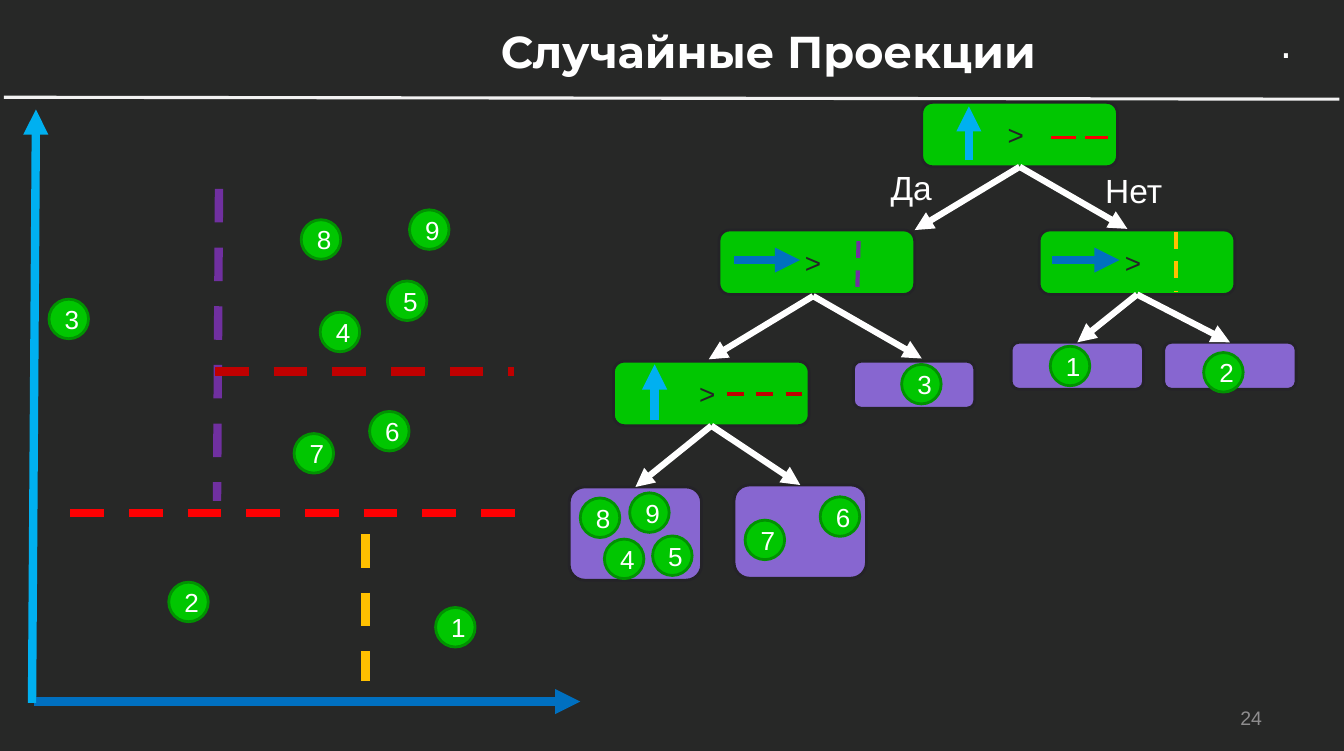
import lxml.etree
import pptx
import pptx.dml.color
import pptx.enum.dml
import pptx.enum.shapes
import pptx.enum.text
import pptx.oxml.ns
import pptx.util

Cm = pptx.util.Cm
Pt = pptx.util.Pt
SHAPE = pptx.enum.shapes.MSO_SHAPE
ALIGN = pptx.enum.text.PP_ALIGN
ANCHOR = pptx.enum.text.MSO_ANCHOR
DASH = pptx.enum.dml.MSO_LINE.DASH
LONG_DASH = pptx.enum.dml.MSO_LINE.LONG_DASH
TOP, BOTTOM = 0, 2

COLOURS = {
    "background": "272827", "white": "FFFFFF", "divider": "F2F2F2",
    "grey": "8E8D8E", "ink": "242327", "green": "01C601",
    "rim": "019201", "leaf": "8766D0", "red": "FD0002",
    "signal": "F70002", "crimson": "C00000", "purple": "7030A0",
    "yellow": "FFC000", "blue": "0070C0", "sky": "00B0F0",
}

POINT_SIZE = 1.0
NODE_SIZE = (4.95, 1.63)

# Numbered points: label, left, top
PLOT_POINTS = [
    ("5", 9.8, 7.11), ("6", 9.35, 10.41), ("9", 10.36, 5.31),
    ("1", 11.02, 15.37), ("8", 7.62, 5.56), ("2", 4.27, 14.73),
    ("3", 1.24, 7.57), ("7", 7.44, 10.97), ("4", 8.1, 7.9),
]
TREE_POINTS = [
    ("1", 26.57, 8.76), ("2", 30.45, 8.92), ("3", 22.81, 9.22),
    ("6", 20.75, 12.57), ("7", 18.85, 13.16), ("5", 16.51, 13.56),
    ("9", 15.93, 12.47), ("8", 14.68, 12.6), ("4", 15.29, 13.64),
]

# Tree boxes: decision nodes by corner, leaves by corner and size
NODES = {
    "root": (23.32, 2.59), "left": (18.19, 5.82),
    "right": (26.29, 5.82), "lower": (15.52, 9.14),
}
LEAVES = {
    "1": (25.58, 8.66, 3.35, 1.19), "2": (29.44, 8.66, 3.35, 1.19),
    "3": (21.59, 9.14, 3.07, 1.19), "67": (18.57, 12.27, 3.35, 2.36),
    "4589": (14.4, 12.32, 3.35, 2.36),
}

# Branches: a box name is joined, a pair is a free end
BRANCHES = [
    ("root", (23.14, 5.82)), ("root", (28.52, 5.79)),
    ((20.57, 7.49), (17.93, 9.09)), ((20.57, 7.49), (23.32, 9.07)),
    ("right", "1"), ("right", "2"),
    ("lower", "67"), ("lower", "4589"),
]

# Dashed lines: start, end, colour, width, dash
PLOT_SPLITS = [
    ((1.78, 12.98), (13.64, 12.98), "red", 6, DASH),
    ((9.25, 13.51), (9.25, 17.22), "yellow", 6, DASH),
    ((5.54, 4.78), (5.49, 12.67), "purple", 6, DASH),
    ((5.44, 9.4), (13, 9.4), "crimson", 6, DASH),
]
NODE_SPLITS = [
    ((26.59, 3.48), (28.04, 3.48), "signal", 2.25, LONG_DASH),
    ((29.74, 5.87), (29.74, 7.39), "yellow", 3, DASH),
    ((21.72, 6.1), (21.69, 7.26), "purple", 3, DASH),
    ((18.39, 9.96), (20.42, 9.96), "crimson", 3, DASH),
]

# Arrows for the axes and the axis tested in each node
AXES = [
    ((0.86, 17.75), (14.68, 17.75), "blue"),
    ((0.81, 17.78), (0.91, 2.77), "sky"),
]
NODE_AXES = [
    ((24.51, 4.06), (24.51, 2.69), "sky"),
    ((26.62, 6.58), (28.32, 6.58), "blue"),
    ((18.57, 6.58), (20.24, 6.58), "blue"),
    ((16.56, 10.62), (16.56, 9.22), "sky"),
]


def colour(name):
    return pptx.dml.color.RGBColor.from_string(COLOURS[name])


def write(box, text, size, ink, align, font="Arial", bold=False):
    para = box.text_frame.paragraphs[0]
    para.text = text
    para.alignment = align
    para.font.name = font
    para.font.size = Pt(size)
    para.font.bold = bold
    para.font.color.rgb = colour(ink)


def add_label(page, text, place, size, ink="white", align=ALIGN.LEFT,
              anchor=ANCHOR.TOP, wrap=True, **style):
    box = page.shapes.add_textbox(*map(Cm, place))
    box.text_frame.word_wrap = wrap
    box.text_frame.vertical_anchor = anchor
    write(box, text, size, ink, align, **style)


def add_solid(page, kind, place, fill, outline):
    shape = page.shapes.add_shape(kind, *map(Cm, place))
    shape.shadow.inherit = False
    shape.fill.solid()
    shape.fill.fore_color.rgb = colour(fill)
    shape.line.color.rgb = colour(outline)
    shape.line.width = Pt(2)
    return shape


def add_point(page, label, left, top):
    place = (left, top, POINT_SIZE, POINT_SIZE)
    point = add_solid(page, SHAPE.OVAL, place, "green", "rim")
    write(point, label, 18.7, "white", ALIGN.CENTER)


def add_node(page, corner):
    node = add_solid(page, SHAPE.ROUNDED_RECTANGLE, corner + NODE_SIZE,
                     "green", "ink")
    write(node, "> ", 20, "ink", ALIGN.CENTER)
    return node


def add_line(page, start, end, ink, width, dash=None, arrow=False):
    line = page.shapes.add_connector(
        pptx.enum.shapes.MSO_CONNECTOR.STRAIGHT, *map(Cm, start + end))
    line.line.color.rgb = colour(ink)
    line.line.width = Pt(width)
    if dash:
        line.line.dash_style = dash
    qn = pptx.oxml.ns.qn
    properties = line._element.spPr
    if arrow:
        outline = properties.find(qn("a:ln"))
        lxml.etree.SubElement(outline, qn("a:tailEnd"), type="triangle")
    lxml.etree.SubElement(properties, qn("a:effectLst"))
    return line


def add_branch(page, boxes, start, end):
    joined_start, joined_end = boxes.get(start), boxes.get(end)
    line = add_line(page, (0, 0) if joined_start else start,
                    (0, 0) if joined_end else end, "white", 4.5, arrow=True)
    if joined_start:
        line.begin_connect(joined_start, BOTTOM)
    if joined_end:
        line.end_connect(joined_end, TOP)


def main():
    deck = pptx.Presentation()
    deck.slide_width, deck.slide_height = Cm(34), Cm(19)
    page = deck.slides.add_slide(deck.slide_layouts[6])
    page.background.fill.solid()
    page.background.fill.fore_color.rgb = colour("background")

    # Heading and page number
    add_label(page, "24", (24.28, 17.65, 7.9, 1.02), 14, "grey",
              ALIGN.RIGHT, ANCHOR.MIDDLE)
    add_line(page, (0.1, 2.46), (33.88, 2.51), "divider", 2.25)
    add_label(page, ".", (32.13, 0.38, 0.86, 1.45), 27.9, wrap=False,
              font="DejaVu Sans")
    add_label(page, "Случайные Проекции", (8.74, 0.48, 21.41, 1.35), 32,
              align=ALIGN.CENTER, font="Montserrat", bold=True)

    # Plot with its splits
    for point in PLOT_POINTS:
        add_point(page, *point)
    for axis in AXES:
        add_line(page, *axis, 6, arrow=True)
    for split in PLOT_SPLITS:
        add_line(page, *split)

    # Decision tree
    boxes = {name: add_node(page, corner) for name, corner in NODES.items()}
    for name, place in LEAVES.items():
        boxes[name] = add_solid(page, SHAPE.ROUNDED_RECTANGLE, place,
                                "leaf", "ink")
    for branch in BRANCHES:
        add_branch(page, boxes, *branch)
    add_label(page, "Да", (22.28, 4.11, 2.06, 1.27), 24)
    add_label(page, "Нет", (27.71, 4.17, 2.84, 1.27), 24)
    for split in NODE_SPLITS:
        add_line(page, *split)
    for axis in NODE_AXES:
        add_line(page, *axis, 6, arrow=True)
    for point in TREE_POINTS:
        add_point(page, *point)

    deck.save("out.pptx")


if __name__ == "__main__":
    main()
